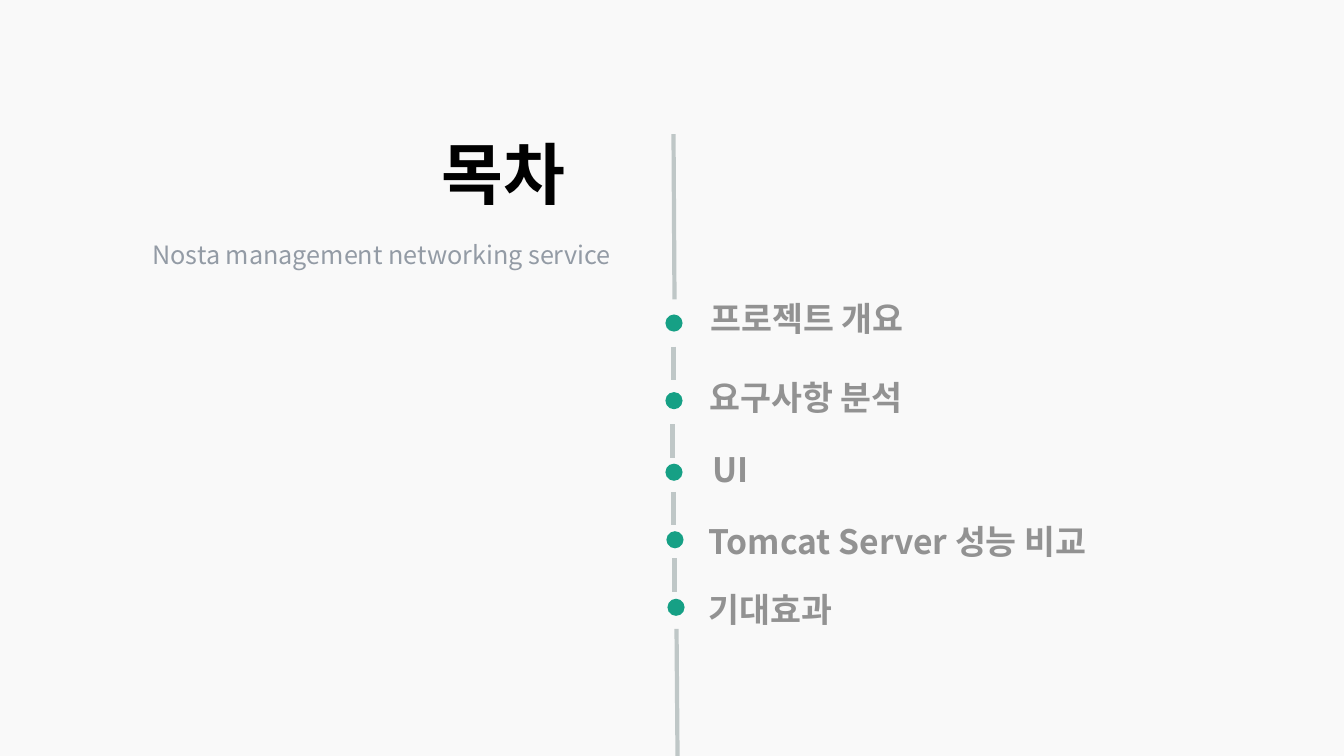
from dataclasses import dataclass

from lxml.etree import SubElement
from pptx import Presentation
from pptx.dml.color import RGBColor
from pptx.enum.shapes import MSO_CONNECTOR, MSO_SHAPE
from pptx.enum.text import MSO_ANCHOR, MSO_AUTO_SIZE, PP_ALIGN
from pptx.oxml.ns import qn
from pptx.util import Inches, Pt

COLORS = {
    "background": "F9F9F9",
    "dot": "16A085",
    "line": "BFC7C7",
    "title": "000000",
    "subtitle": "939BA5",
    "item": "929292",
}
FONT = "Noto Sans CJK KR"
DOT_SIZE = 0.17
FRAME_FORMAT = {
    "word_wrap": True,
    "auto_size": MSO_AUTO_SIZE.SHAPE_TO_FIT_TEXT,
    "vertical_anchor": MSO_ANCHOR.TOP,
}
FONT_FORMATS = {
    "title": {"name": FONT, "size": Pt(48), "bold": True},
    "subtitle": {"name": FONT, "size": Pt(18), "bold": False},
    "item": {"name": FONT, "size": Pt(24), "bold": True},
}


@dataclass
class AgendaItem:
    text: str
    left: float
    top: float
    dot_left: float
    dot_top: float
    width: float = 3.95


@dataclass
class Segment:
    x1: float
    y1: float
    x2: float
    y2: float


ITEMS = [
    AgendaItem("프로젝트 개요", 6.95, 2.91, 6.6, 3.12),
    AgendaItem("요구사항 분석", 6.94, 3.69, 6.6, 3.89),
    AgendaItem("UI", 6.97, 4.4, 6.6, 4.6),
    AgendaItem("Tomcat Server 성능 비교", 6.93, 5.12, 6.61, 5.27, 4.24),
    AgendaItem("기대효과", 6.93, 5.79, 6.62, 5.94),
]

# Long ends of the timeline, and short links of equal length between dots
LINK_LENGTH = 0.33
LINK_STARTS = [(6.68, 3.44), (6.67, 4.21), (6.68, 4.88), (6.69, 5.54)]
SEGMENTS = [
    Segment(6.68, 1.33, 6.69, 2.97),
    *(Segment(x, y, x, y + LINK_LENGTH) for x, y in LINK_STARTS),
    Segment(6.71, 6.24, 6.72, 7.5),
]


def color(name: str) -> RGBColor:
    return RGBColor.from_string(COLORS[name])


def set_text(sp, text: str, style: str, align: PP_ALIGN = PP_ALIGN.LEFT) -> None:
    tf = sp.text_frame
    for name, value in FRAME_FORMAT.items():
        setattr(tf, name, value)
    p = tf.paragraphs[0]
    p.alignment = align
    p.space_before = Pt(0)
    r = p.add_run()
    r.text = text
    for name, value in FONT_FORMATS[style].items():
        setattr(r.font, name, value)
    r.font.color.rgb = color(style)
    # Hangul takes the East Asian typeface
    SubElement(r.font._element, qn("a:ea"), typeface=FONT)


def place(sp, left: float, top: float, width: float, height: float) -> None:
    sp.left, sp.top = Inches(left), Inches(top)
    sp.width, sp.height = Inches(width), Inches(height)


def add_segment(s, seg: Segment) -> None:
    sp = s.shapes.add_connector(
        MSO_CONNECTOR.STRAIGHT,
        Inches(seg.x1), Inches(seg.y1), Inches(seg.x2), Inches(seg.y2),
    )
    sp.line.color.rgb = color("line")
    sp.line.width = Pt(3)
    SubElement(sp._element.spPr, qn("a:effectLst"))


def add_item(s, item: AgendaItem) -> None:
    dot = s.shapes.add_shape(
        MSO_SHAPE.OVAL, Inches(item.dot_left), Inches(item.dot_top),
        Inches(DOT_SIZE), Inches(DOT_SIZE),
    )
    dot.shadow.inherit = False
    dot.fill.solid()
    dot.fill.fore_color.rgb = color("dot")
    dot.line.fill.background()
    label = s.shapes.add_textbox(
        Inches(item.left), Inches(item.top), Inches(item.width), Inches(0.5)
    )
    set_text(label, item.text, "item")


def main() -> None:
    prs = Presentation()
    prs.slide_width, prs.slide_height = Inches(13.33), Inches(7.5)
    s = prs.slides.add_slide(prs.slide_layouts[0])
    s.background.fill.solid()
    s.background.fill.fore_color.rgb = color("background")

    # Heading
    title, subtitle = s.placeholders
    place(title, 4.28, 1.26, 2.37, 0.91)
    set_text(title, "목차", "title")
    place(subtitle, 0.28, 2.32, 5.88, 0.4)
    set_text(subtitle, "Nosta management networking service", "subtitle", PP_ALIGN.RIGHT)

    # Timeline with agenda items
    for seg in SEGMENTS:
        add_segment(s, seg)
    for item in ITEMS:
        add_item(s, item)

    prs.save("out.pptx")


if __name__ == "__main__":
    main()
